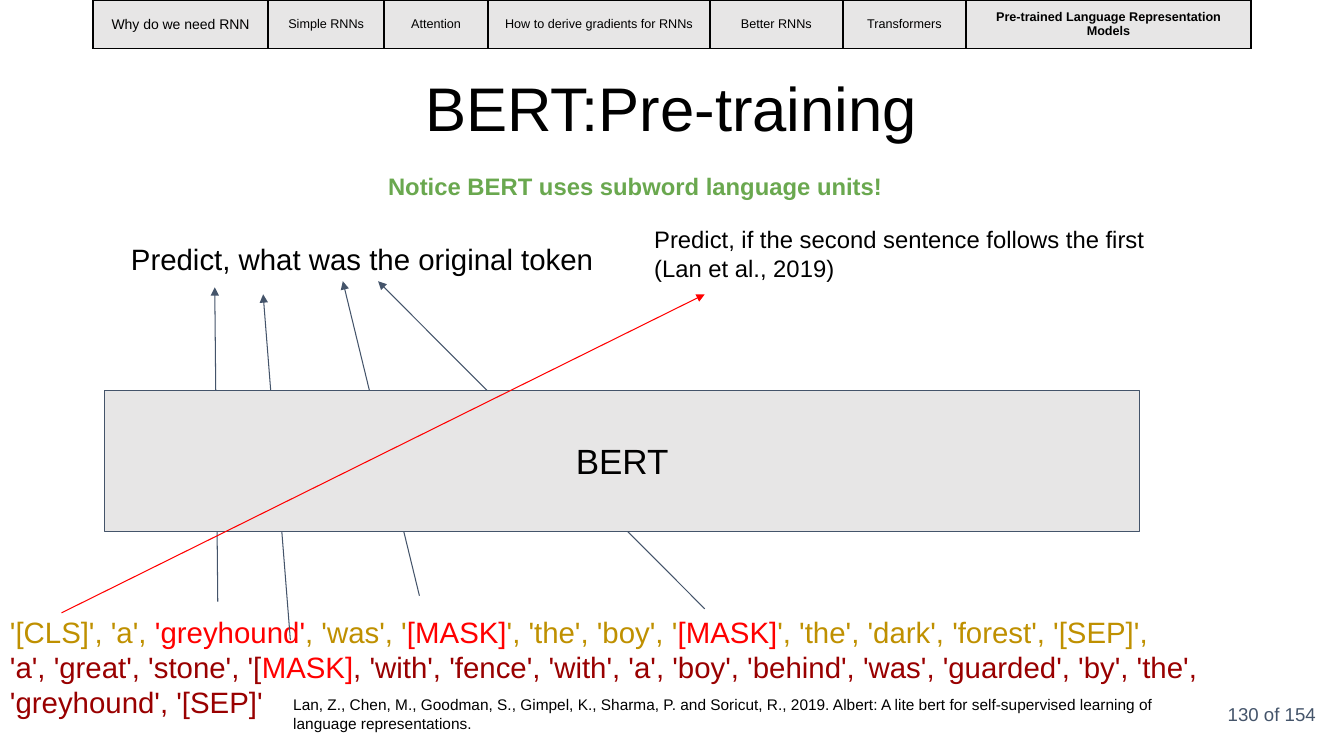
"""Build the slide on BERT pre-training."""
from lxml import etree
from pptx import Presentation
from pptx.dml.color import RGBColor
from pptx.enum.shapes import MSO_CONNECTOR, MSO_SHAPE
from pptx.enum.text import MSO_ANCHOR, MSO_AUTO_SIZE, PP_ALIGN
from pptx.oxml.ns import qn
from pptx.util import Inches, Pt

LEFT, CENTER, RIGHT = PP_ALIGN.LEFT, PP_ALIGN.CENTER, PP_ALIGN.RIGHT
TOP, MIDDLE = MSO_ANCHOR.TOP, MSO_ANCHOR.MIDDLE
RECTANGLE, STRAIGHT = MSO_SHAPE.RECTANGLE, MSO_CONNECTOR.STRAIGHT
NO_AUTOFIT = MSO_AUTO_SIZE.NONE

FONT = "Arial"
BLACK, GREY, SLATE, RED = "000000", "E7E6E6", "44546A", "FF0000"
GOLD, MAROON, GREEN = "BF9000", "990000", "6AA84F"
INSET = 0.1

SECTIONS = [
    ("Why do we need RNN", 1.74, 10, False),
    ("Simple RNNs", 1.15, 9, False),
    ("Attention", 1.03, 9, False),
    ("How to derive gradients for RNNs", 2.2, 9, False),
    ("Better RNNs", 1.32, 9, False),
    ("Transformers", 1.22, 9, False),
    ("Pre-trained Language Representation Models", 2.83, 9, True),
]
NAVIGATION_LEFT, NAVIGATION_HEIGHT = 0.92, 0.43

TITLE = "BERT:Pre-training"
TITLE_AREA = (0.45, 0.65, 12.42, 0.91)
MODEL = "BERT"
MODEL_AREA = (1.04, 3.87, 10.26, 1.4)

PAGE_NUMBER = ("130 of 154", (11.39, 6.8, 1.76, 0.57), 13.3, SLATE, False, RIGHT, MIDDLE)
LABELS = [
    ("Predict, what was the original token",
     (1.2, 2.29, 6.69, 0.56), 21, BLACK, False, LEFT, TOP),
    ("Predict, if the second sentence follows the first\n(Lan et al., 2019)",
     (6.39, 2.13, 6.9, 0.77), 17, BLACK, False, LEFT, TOP),
    ("Lan, Z., Chen, M., Goodman, S., Gimpel, K., Sharma, P. and Soricut, R., 2019. "
     "Albert: A lite bert for self-supervised learning of language representations.",
     (2.81, 6.8, 9.27, 0.57), 11, BLACK, False, LEFT, TOP),
    ("Notice BERT uses subword language units!",
     (3.75, 1.6, 6.62, 0.49), 17, GREEN, True, LEFT, TOP),
]

TOKEN_AREA, TOKEN_SIZE = (0, 5.99, 13.09, 1.26), 21
TOKEN_LINES = [
    [("'[CLS]', 'a', ", GOLD), ("'greyhound'", RED), (", 'was', '", GOLD),
     ("[MASK]", RED), ("', 'the', 'boy', '", GOLD), ("[MASK]", RED),
     ("', 'the', 'dark', 'forest', '[SEP]', ", GOLD)],
    [("'a', 'great', 'stone', '[", MAROON), ("MASK]", RED),
     (", 'with', 'fence', 'with', 'a', 'boy', 'behind', 'was', 'guarded', "
      "'by', 'the', 'greyhound', '[SEP]'", MAROON)],
]

TOKEN_ARROWS = [
    ((2.16, 5.97), (2.13, 2.85)),
    ((4.16, 5.91), (3.4, 2.79)),
    ((6.99, 6.04), (3.75, 2.79)),
    ((2.88, 6.35), (2.61, 2.92)),
]
SENTENCE_ARROW = ((0.61, 6.08), (6.99, 2.92))


def color(value):
    return RGBColor.from_string(value)


def place(lengths):
    return [Inches(length) for length in lengths]


def style_font(font, size, ink, bold=False):
    font.name, font.size, font.bold = FONT, Pt(size), bold
    font.color.rgb = color(ink)


def style_frame(frame, anchor, vertical_inset=INSET):
    frame.word_wrap = True
    frame.auto_size = NO_AUTOFIT
    frame.vertical_anchor = anchor
    frame.margin_left = frame.margin_right = Inches(INSET)
    frame.margin_top = frame.margin_bottom = Inches(vertical_inset)


def write(frame, text, size, ink, bold, align):
    frame.text = text
    for para in frame.paragraphs:
        para.alignment = align
        for span in para.runs:
            style_font(span.font, size, ink, bold)


def border_cell(cell):
    properties = cell._tc.get_or_add_tcPr()
    for position, side in enumerate(("lnL", "lnR", "lnT", "lnB")):
        line = etree.Element(qn(f"a:{side}"), w=str(Pt(1.5)))
        fill = etree.SubElement(line, qn("a:solidFill"))
        etree.SubElement(fill, qn("a:srgbClr"), val=BLACK)
        properties.insert(position, line)


def add_navigation(page):
    width = sum(section[1] for section in SECTIONS)
    area = place((NAVIGATION_LEFT, 0, width, NAVIGATION_HEIGHT))
    table = page.shapes.add_table(1, len(SECTIONS), *area).table
    table.first_row = table.horz_banding = False
    for index, (text, column_width, size, bold) in enumerate(SECTIONS):
        table.columns[index].width = Inches(column_width)
        cell = table.cell(0, index)
        cell.fill.solid()
        cell.fill.fore_color.rgb = color(GREY)
        cell.vertical_anchor = MIDDLE
        cell.margin_left = cell.margin_right = Inches(INSET)
        cell.margin_top = cell.margin_bottom = Inches(INSET)
        write(cell.text_frame, text, size, BLACK, bold, CENTER)
        border_cell(cell)


def add_title(page):
    title = page.shapes.title
    title.left, title.top, title.width, title.height = place(TITLE_AREA)
    style_frame(title.text_frame, MIDDLE, 0.05)
    write(title.text_frame, TITLE, 44, BLACK, False, CENTER)
    title.text_frame.paragraphs[0].line_spacing = 0.9


def add_label(page, text, area, size, ink, bold, align, anchor):
    box = page.shapes.add_textbox(*place(area))
    style_frame(box.text_frame, anchor)
    write(box.text_frame, text, size, ink, bold, align)


def add_tokens(page):
    box = page.shapes.add_textbox(*place(TOKEN_AREA))
    style_frame(box.text_frame, TOP)
    para = box.text_frame.paragraphs[0]
    for index, line in enumerate(TOKEN_LINES):
        if index:
            para.add_line_break()
        for text, ink in line:
            span = para.add_run()
            span.text = text
            style_font(span.font, TOKEN_SIZE, ink)


def add_arrow(page, start, end, ink):
    arrow = page.shapes.add_connector(STRAIGHT, *place(start + end))
    arrow.line.color.rgb = color(ink)
    arrow.line.width = Pt(0.75)
    etree.SubElement(arrow.line._get_or_add_ln(), qn("a:tailEnd"), type="triangle")
    etree.SubElement(arrow._element.spPr, qn("a:effectLst"))


def add_model(page):
    model = page.shapes.add_shape(RECTANGLE, *place(MODEL_AREA))
    model.shadow.inherit = False
    model.fill.solid()
    model.fill.fore_color.rgb = color(GREY)
    model.line.color.rgb = color(SLATE)
    model.line.width = Pt(0.75)
    style_frame(model.text_frame, MIDDLE)
    write(model.text_frame, MODEL, 25, BLACK, False, CENTER)


def main():
    deck = Presentation()
    deck.slide_width, deck.slide_height = place((13.33, 7.5))
    page = deck.slides.add_slide(deck.slide_layouts[5])
    add_navigation(page)
    add_title(page)
    add_label(page, *PAGE_NUMBER)
    add_tokens(page)
    for start, end in TOKEN_ARROWS:
        add_arrow(page, start, end, SLATE)
    add_model(page)
    add_arrow(page, *SENTENCE_ARROW, RED)
    for label in LABELS:
        add_label(page, *label)
    deck.save("out.pptx")


if __name__ == "__main__":
    main()
